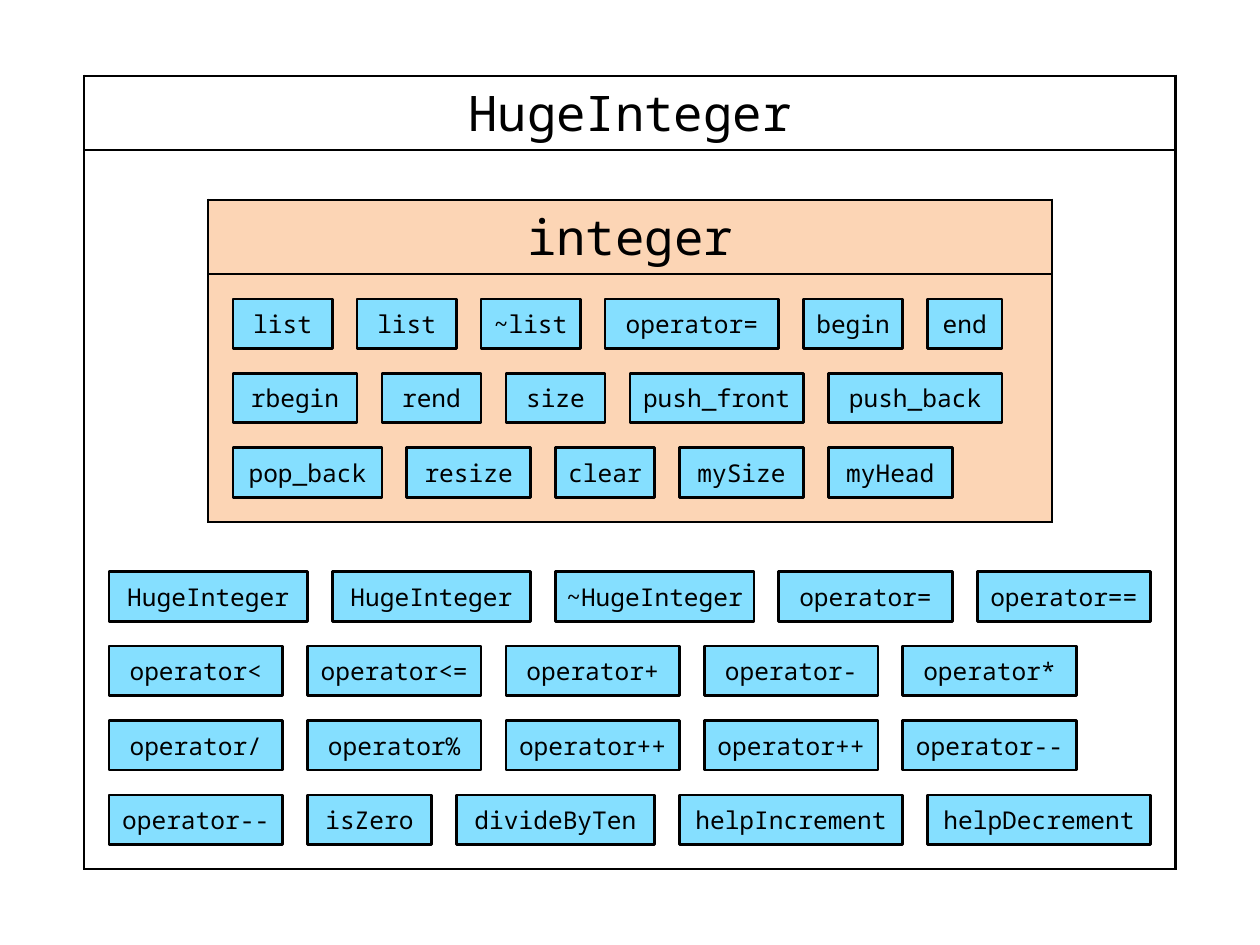
from math import ceil

from lxml.etree import SubElement
from pptx import Presentation
from pptx.dml.color import RGBColor
from pptx.enum.shapes import MSO_SHAPE
from pptx.enum.text import MSO_ANCHOR, PP_ALIGN
from pptx.oxml import parse_xml
from pptx.oxml.ns import nsdecls, qn
from pptx.util import Inches, Pt

SLIDE_WIDTH, SLIDE_HEIGHT = 10, 7.5
UNIT = 0.5 / 2.54
FONT = "Noto Sans Mono"
BLACK, WHITE, PEACH, SKY = "000000", "FFFFFF", "FCD5B5", "85DFFF"
LINE_WIDTH = Pt(1.5)
HEADER_UNITS, BOX_UNITS, ROW_PITCH = 3, 2, 3

PANELS = [
    {
        "title": "HugeInteger", "fill": WHITE,
        "left": 0, "top": 0, "width": 44, "height": 32, "first_row": 20,
        "rows": [
            ["HugeInteger", "HugeInteger", "~HugeInteger", "operator=", "operator=="],
            ["operator<", "operator<=", "operator+", "operator-", "operator*"],
            ["operator/", "operator%", "operator++", "operator++", "operator--"],
            ["operator--", "isZero", "divideByTen", "helpIncrement", "helpDecrement"],
        ],
    },
    {
        "title": "integer", "fill": PEACH,
        "left": 5, "top": 5, "width": 34, "height": 13, "first_row": 4,
        "rows": [
            ["list", "list", "~list", "operator=", "begin", "end"],
            ["rbegin", "rend", "size", "push_front", "push_back"],
            ["pop_back", "resize", "clear", "mySize", "myHead"],
        ],
    },
]

ORIGIN_LEFT = (SLIDE_WIDTH - PANELS[0]["width"] * UNIT) / 2
ORIGIN_TOP = (SLIDE_HEIGHT - PANELS[0]["height"] * UNIT) / 2


def color(value):
    return RGBColor.from_string(value)


def units(count):
    return Inches(count * UNIT)


def place(left, top, width, height):
    return (Inches(ORIGIN_LEFT + left * UNIT), Inches(ORIGIN_TOP + top * UNIT),
            units(width), units(height))


def style_text(frame, size):
    para = frame.paragraphs[0]
    para.alignment = PP_ALIGN.CENTER
    span = para.runs[0]
    span.font.name = FONT
    span.font.size = Pt(size)
    span.font.color.rgb = color(BLACK)


def add_borders(cell):
    properties = cell._tc.get_or_add_tcPr()
    for position, side in enumerate(("lnL", "lnR", "lnT", "lnB")):
        border = parse_xml(f'<a:{side} {nsdecls("a")} w="{LINE_WIDTH}"/>')
        fill = SubElement(border, qn("a:solidFill"))
        SubElement(fill, qn("a:srgbClr"), val=BLACK)
        properties.insert(position, border)


def add_panel(page, panel):
    area = place(panel["left"], panel["top"], panel["width"], panel["height"])
    table = page.shapes.add_table(2, 1, *area).table
    table.first_row = table.horz_banding = False
    table.rows[0].height = units(HEADER_UNITS)
    table.rows[1].height = units(panel["height"] - HEADER_UNITS)
    for cell in table.iter_cells():
        cell.fill.solid()
        cell.fill.fore_color.rgb = color(panel["fill"])
        add_borders(cell)
    header = table.cell(0, 0)
    header.vertical_anchor = MSO_ANCHOR.MIDDLE
    header.margin_top = header.margin_bottom = 0
    header.text_frame.text = panel["title"]
    style_text(header.text_frame, 28)


def add_member(page, name, left, top, width):
    box = page.shapes.add_shape(MSO_SHAPE.RECTANGLE, *place(left, top, width, BOX_UNITS))
    box.shadow.inherit = False
    box.fill.solid()
    box.fill.fore_color.rgb = color(SKY)
    box.line.color.rgb = color(BLACK)
    box.line.width = LINE_WIDTH
    frame = box.text_frame
    frame.word_wrap = True
    frame.vertical_anchor = MSO_ANCHOR.MIDDLE
    frame.margin_left = frame.margin_right = Inches(0.08)
    frame.margin_top = frame.margin_bottom = Inches(0.04)
    frame.text = name
    style_text(frame, 14)


def add_members(page, panel):
    for index, names in enumerate(panel["rows"]):
        left = panel["left"] + 1
        top = panel["top"] + panel["first_row"] + index * ROW_PITCH
        for name in names:
            width = ceil(0.58 * len(name) + 0.9)
            add_member(page, name, left, top, width)
            left += width + 1


def main():
    deck = Presentation()
    deck.slide_width = Inches(SLIDE_WIDTH)
    deck.slide_height = Inches(SLIDE_HEIGHT)
    page = deck.slides.add_slide(deck.slide_layouts[6])
    for panel in PANELS:
        add_panel(page, panel)
        add_members(page, panel)
    deck.save("out.pptx")


if __name__ == "__main__":
    main()
